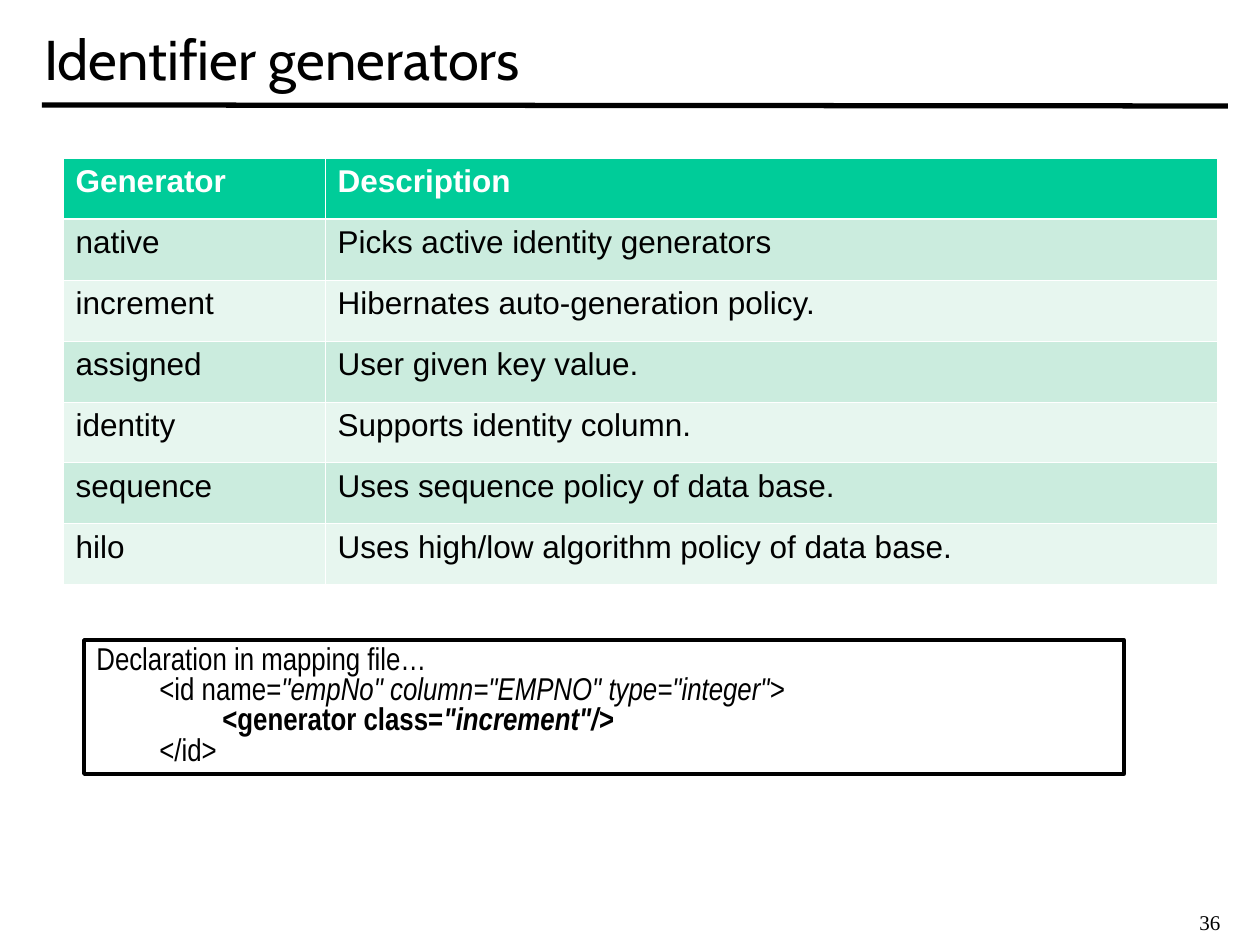
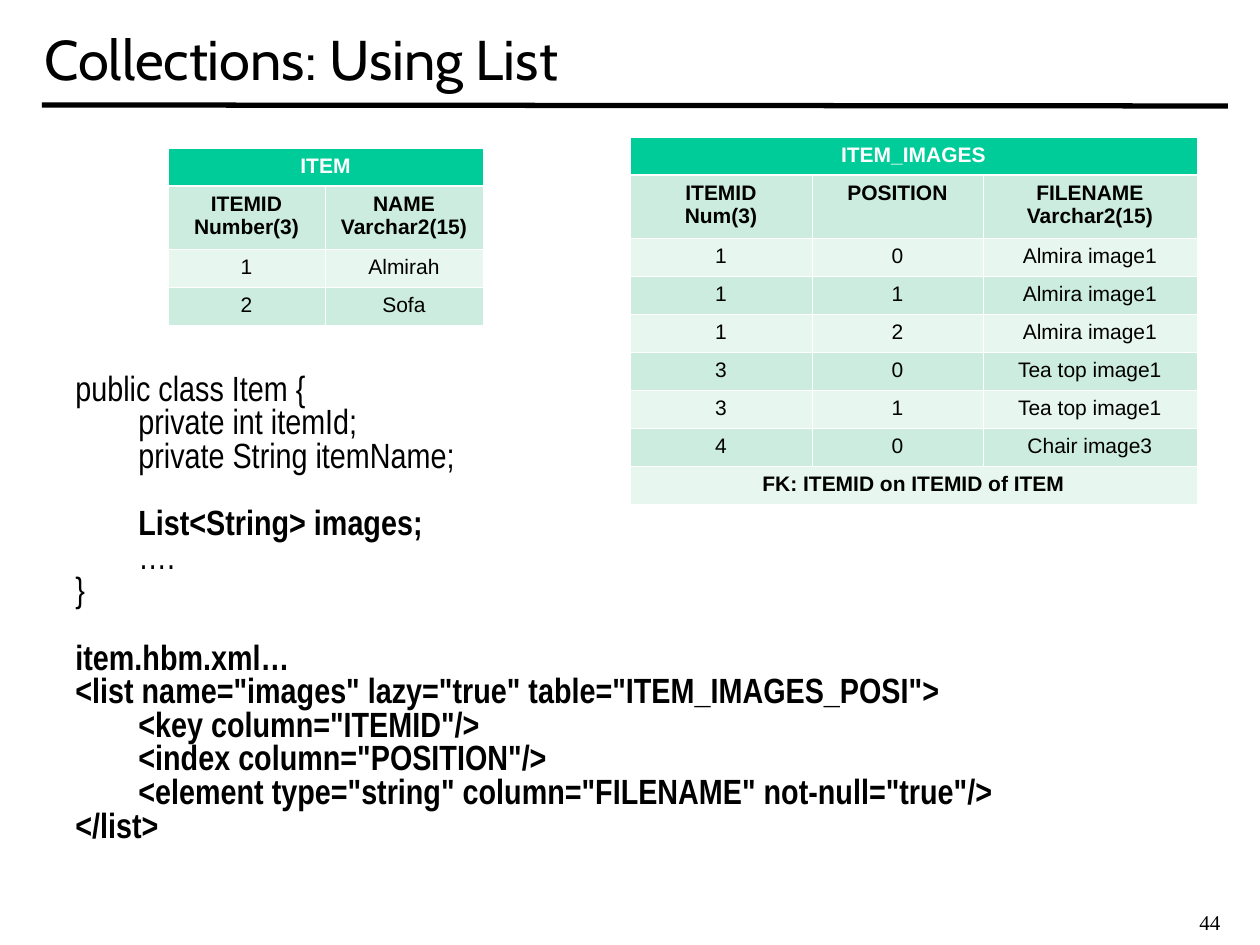
from dataclasses import dataclass

import pptx
import pptx.dml.color
import pptx.enum.shapes
import pptx.enum.text
import pptx.oxml.ns
import pptx.util
from lxml import etree

EMU_PER_PX = 914400 / 126
ALIGN = pptx.enum.text.PP_ALIGN


@dataclass(frozen=True)
class Theme:
    black: str = "000000"
    white: str = "FFFFFF"
    header: str = "00CC99"
    band_dark: str = "CBECDE"
    band_light: str = "E7F6EF"
    title_font: str = "Cabin"
    table_font: str = "Arial"
    code_font: str = "Arial Narrow"
    number_font: str = "Times New Roman"
    title_size: int = 32
    number_size: int = 12
    thin_border: float = 0.45
    thick_border: float = 1.47


THEME = Theme()


@dataclass(frozen=True)
class Box:
    left: int
    top: int
    width: int
    height: int


@dataclass(frozen=True)
class Piece:
    text: str
    bold: bool = False
    italic: bool = False


@dataclass(frozen=True)
class CodeLine:
    pieces: tuple[Piece, ...]
    space_before: float = 0


@dataclass(frozen=True)
class Grid:
    left: int
    top: int
    columns: tuple[int, ...]
    row_heights: tuple[int, ...]
    rows: tuple[tuple[str, ...], ...]
    size: int
    bold_rows: tuple[int, ...] = (0,)
    align: ALIGN = ALIGN.LEFT


TITLE_BOX = Box(32, 0, 1197, 116)
NUMBER_BOX = Box(1187, 903, 68, 38)
MAPPING_BOX = Box(84, 640, 1040, 134)
LISTING_BOX = Box(63, 368, 1113, 525)
TAB_STEP = 63
BLANK_LINE = 19.2

GENERATORS = Grid(
    63, 158, (262, 892), (61,) * 7,
    (
        ("Generator", "Description"),
        ("native", "Picks active identity generators"),
        ("increment", "Hibernates auto-generation policy."),
        ("assigned", "User given key value."),
        ("identity", "Supports identity column."),
        ("sequence", "Uses sequence policy of data base."),
        ("hilo", "Uses high/low algorithm policy of data base."),
    ),
    size=18,
)

ITEM = Grid(
    168, 148, (157, 158), (38, 63, 38, 38),
    (
        ("ITEM",),
        ("ITEMID\nNumber(3)", "NAME\nVarchar2(15)"),
        ("1", "Almirah"),
        ("2", "Sofa"),
    ),
    size=12, bold_rows=(0, 1), align=ALIGN.CENTER,
)

ITEM_IMAGES = Grid(
    630, 137, (182, 171, 214), (38, 63) + (38,) * 7,
    (
        ("ITEM_IMAGES",),
        ("ITEMID\nNum(3)", "POSITION", "FILENAME\nVarchar2(15)"),
        ("1", "0", "Almira image1"),
        ("1", "1", "Almira image1"),
        ("1", "2", "Almira image1"),
        ("3", "0", "Tea top image1"),
        ("3", "1", "Tea top image1"),
        ("4", "0", "Chair image3"),
        ("FK: ITEMID on ITEMID of ITEM",),
    ),
    size=12, bold_rows=(0, 1, 8), align=ALIGN.CENTER,
)

MAPPING_CODE = (
    CodeLine((Piece("Declaration in mapping file…"),)),
    CodeLine((
        Piece("\t<id name="),
        Piece('"empNo" column="EMPNO" type="integer">', italic=True),
    )),
    CodeLine((
        Piece("\t\t<generator class=", bold=True),
        Piece('"increment"/>', bold=True, italic=True),
    )),
    CodeLine((Piece("\t</id>"),)),
)

LISTING_CODE = (
    CodeLine((Piece("public class Item {"),)),
    CodeLine((Piece("\tprivate int itemId;"),)),
    CodeLine((Piece("\tprivate String itemName;"),)),
    CodeLine((Piece("\tList<String> images;", bold=True),), BLANK_LINE),
    CodeLine((Piece("\t…."),)),
    CodeLine((Piece("}"),)),
    CodeLine((Piece("item.hbm.xml…", bold=True),), BLANK_LINE),
) + tuple(
    CodeLine((Piece(text, bold=True),))
    for text in (
        '<list name="images" lazy="true" table="ITEM_IMAGES_POSI">',
        '\t<key column="ITEMID"/>',
        '\t<index column="POSITION"/>',
        '\t<element type="string" column="FILENAME" not-null="true"/>',
        "</list>",
    )
)


def px(length: int) -> int:
    return round(length * EMU_PER_PX)


def place(box: Box) -> tuple[int, ...]:
    return tuple(px(n) for n in (box.left, box.top, box.width, box.height))


def rgb(color: str) -> pptx.dml.color.RGBColor:
    return pptx.dml.color.RGBColor.from_string(color)


def style_run(run, font: str, size: int, color: str = THEME.black,
              bold: bool = False, italic: bool = False) -> None:
    run.font.name = font
    run.font.size = pptx.util.Pt(size)
    run.font.color.rgb = rgb(color)
    run.font.bold = bold
    run.font.italic = italic


def add_label(slide, box: Box, text: str, font: str, size: int,
              anchor=pptx.enum.text.MSO_ANCHOR.TOP) -> None:
    text_frame = slide.shapes.add_textbox(*place(box)).text_frame
    text_frame.word_wrap = True
    text_frame.vertical_anchor = anchor
    text_frame.text = text
    style_run(text_frame.paragraphs[0].runs[0], font, size)


def add_title_rule(slide) -> None:
    rule = slide.shapes.add_connector(
        pptx.enum.shapes.MSO_CONNECTOR.STRAIGHT,
        px(42), px(105), px(1228), px(106))
    rule.line.color.rgb = rgb(THEME.black)
    rule.line.width = pptx.util.Pt(3)
    etree.SubElement(rule._element.spPr, pptx.oxml.ns.qn("a:effectLst"))


def add_base_slide(presentation, title: str, number: int):
    slide = presentation.slides.add_slide(presentation.slide_layouts[6])
    add_title_rule(slide)
    add_label(slide, NUMBER_BOX, str(number), THEME.number_font, THEME.number_size)
    add_label(slide, TITLE_BOX, title, THEME.title_font, THEME.title_size,
              pptx.enum.text.MSO_ANCHOR.MIDDLE)
    return slide


def add_tab_stops(paragraph) -> None:
    properties = paragraph._p.get_or_add_pPr()
    tab_list = etree.SubElement(properties, pptx.oxml.ns.qn("a:tabLst"))
    for step in range(1, 8):
        etree.SubElement(tab_list, pptx.oxml.ns.qn("a:tab"),
                         pos=str(px(step * TAB_STEP)), algn="l")


def write_code(text_frame, lines: tuple[CodeLine, ...], size: int) -> None:
    text_frame.word_wrap = True
    text_frame.vertical_anchor = pptx.enum.text.MSO_ANCHOR.TOP
    for index, line in enumerate(lines):
        paragraph = text_frame.add_paragraph() if index else text_frame.paragraphs[0]
        add_tab_stops(paragraph)
        paragraph.alignment = ALIGN.LEFT
        paragraph.line_spacing = 0.8
        if line.space_before:
            paragraph.space_before = pptx.util.Pt(line.space_before)
        for piece in line.pieces:
            run = paragraph.add_run()
            run.text = piece.text
            style_run(run, THEME.code_font, size, bold=piece.bold, italic=piece.italic)


def set_borders(cell, row: int) -> None:
    properties = cell._tc.get_or_add_tcPr()
    thick_side = {0: "B", 1: "T"}.get(row)
    for side in "LRTB":
        width = THEME.thick_border if side == thick_side else THEME.thin_border
        border = etree.SubElement(properties, pptx.oxml.ns.qn(f"a:ln{side}"),
                                  w=str(pptx.util.Pt(width)))
        fill = etree.SubElement(border, pptx.oxml.ns.qn("a:solidFill"))
        etree.SubElement(fill, pptx.oxml.ns.qn("a:srgbClr"), val=THEME.white)


def row_fill(row: int) -> str:
    if row == 0:
        return THEME.header
    return THEME.band_dark if row % 2 else THEME.band_light


def add_grid(slide, grid: Grid) -> None:
    box = Box(grid.left, grid.top, sum(grid.columns), sum(grid.row_heights))
    table = slide.shapes.add_table(
        len(grid.rows), len(grid.columns), *place(box)).table
    table.first_row = False
    table.horz_banding = False
    for column, width in zip(table.columns, grid.columns):
        column.width = px(width)
    for row, texts in enumerate(grid.rows):
        table.rows[row].height = px(grid.row_heights[row])
        for cell in table.rows[row].cells:
            set_borders(cell, row)
            cell.fill.solid()
            cell.fill.fore_color.rgb = rgb(row_fill(row))
        if len(texts) == 1:
            table.cell(row, 0).merge(table.cell(row, len(grid.columns) - 1))
        for column, text in enumerate(texts):
            text_frame = table.cell(row, column).text_frame
            text_frame.text = text
            for paragraph in text_frame.paragraphs:
                paragraph.alignment = grid.align
                style_run(paragraph.runs[0], THEME.table_font, grid.size,
                          THEME.black if row else THEME.white,
                          bold=row in grid.bold_rows)


def build_generators_slide(presentation) -> None:
    slide = add_base_slide(presentation, "Identifier generators", 36)
    add_grid(slide, GENERATORS)
    frame = slide.shapes.add_shape(
        pptx.enum.shapes.MSO_SHAPE.RECTANGLE, *place(MAPPING_BOX))
    frame.shadow.inherit = False
    frame.fill.background()
    frame.line.color.rgb = rgb(THEME.black)
    frame.line.width = pptx.util.Pt(2)
    write_code(frame.text_frame, MAPPING_CODE, 18)


def build_list_slide(presentation) -> None:
    slide = add_base_slide(presentation, "Collections: Using List", 44)
    listing = slide.shapes.add_textbox(*place(LISTING_BOX))
    write_code(listing.text_frame, LISTING_CODE, 20)
    for grid in (ITEM, ITEM_IMAGES):
        add_grid(slide, grid)


def main() -> None:
    presentation = pptx.Presentation()
    presentation.slide_width = px(1260)
    presentation.slide_height = px(945)
    build_generators_slide(presentation)
    build_list_slide(presentation)
    presentation.save("out.pptx")


if __name__ == "__main__":
    main()
